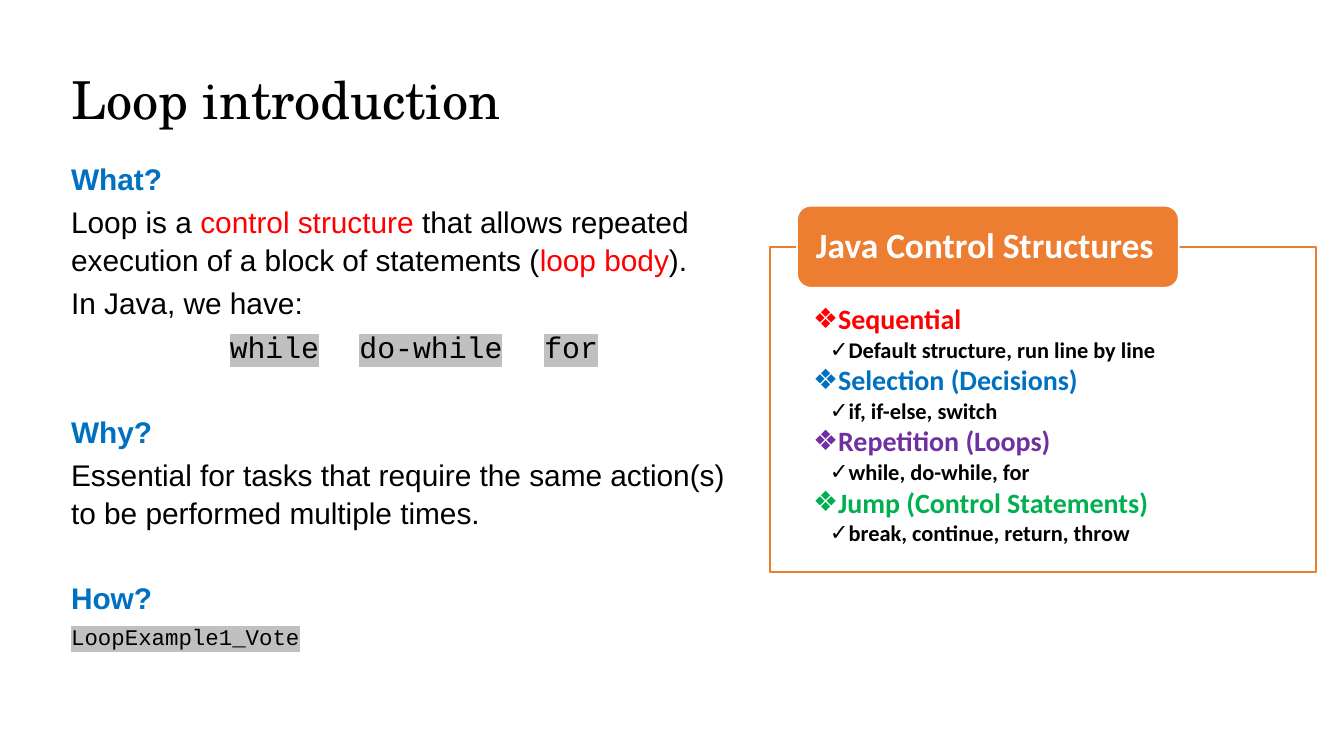
from lxml import etree
from pptx import Presentation
from pptx.dml.color import RGBColor
from pptx.enum import shapes, text
from pptx.oxml.ns import qn
from pptx.util import Pt

COLORS = {
    "black": "000000", "white": "FFFFFF", "red": "FF0000", "blue": "0070C0",
    "purple": "7030A0", "green": "00B050", "orange": "ED7D31", "silver": "C0C0C0",
}
BODY = {"name": "Arial", "size": 16, "color": "black"}
HEAD = {**BODY, "color": "blue", "bold": True}
KEY = {**BODY, "color": "red"}
CODE = {**BODY, "name": "Courier New", "highlight": "silver"}
PANEL = {"name": "Calibri", "bold": True}


def rgb(name):
    return RGBColor.from_string(COLORS[name])


class SlideBuilder:
    """Holds the slide and draws each kind of element; lengths in points."""

    def __init__(self, prs):
        self.slide = prs.slides.add_slide(prs.slide_layouts[5])

    def frame(self, sp, insets, anchor=text.MSO_ANCHOR.TOP):
        tf = sp.text_frame
        values = {"word_wrap": True, "auto_size": text.MSO_AUTO_SIZE.NONE,
                  "vertical_anchor": anchor}
        sides = ("margin_left", "margin_top", "margin_right", "margin_bottom")
        values.update(zip(sides, map(Pt, insets)))
        for key, value in values.items():
            setattr(tf, key, value)
        return tf

    def run(self, p, words, style):
        r = p.add_run()
        r.text = words
        r.font.color.rgb = rgb(style["color"])
        if "highlight" in style:
            mark = etree.SubElement(r._r.get_or_add_rPr(), qn("a:highlight"))
            etree.SubElement(mark, qn("a:srgbClr"), val=COLORS[style["highlight"]])
        values = {"name": style["name"], "size": Pt(style["size"]),
                  "bold": style.get("bold", False)}
        for key, value in values.items():
            setattr(r.font, key, value)

    def paragraph(self, tf, runs, **fmt):
        p = tf.paragraphs[0] if not tf.paragraphs[0].runs else tf.add_paragraph()
        values = {"alignment": text.PP_ALIGN.LEFT, "space_before": Pt(0), **fmt}
        for key, value in values.items():
            setattr(p, key, value)
        for words, style in runs:
            self.run(p, words, style)
        return p

    def title(self, words, box, style):
        sp = self.slide.shapes.title
        sp.left, sp.top, sp.width, sp.height = map(Pt, box)
        self.paragraph(self.frame(sp, (7.2, 3.6, 7.2, 3.6)), [(words, style)])

    def textbox(self, box):
        sp = self.slide.shapes.add_textbox(*map(Pt, box))
        return self.frame(sp, (7.2, 3.6, 7.2, 3.6))

    def shape(self, kind, box, fill, line, insets, anchor=text.MSO_ANCHOR.TOP):
        sp = self.slide.shapes.add_shape(kind, *map(Pt, box))
        sp.shadow.inherit = False
        sp.fill.solid()
        sp.fill.fore_color.rgb = rgb(fill)
        sp.line.color.rgb = rgb(line)
        sp.line.width = Pt(1)
        return self.frame(sp, insets, anchor)

    def tabs(self, p, stops):
        tab_list = etree.SubElement(p._p.get_or_add_pPr(), qn("a:tabLst"))
        for stop in stops:
            etree.SubElement(tab_list, qn("a:tab"), pos=str(Pt(stop)), algn="l")

    def bullet(self, tf, char, words, style, level, indent):
        p = self.paragraph(tf, [(words, style)], level=level,
                           line_spacing=0.9, space_after=Pt(1.8))
        pPr = p._p.get_or_add_pPr()
        pPr.set("marL", str(Pt(indent)))
        pPr.set("indent", str(Pt(-9)))
        etree.SubElement(pPr, qn("a:buFont"), typeface="Arial")
        etree.SubElement(pPr, qn("a:buChar"), char=char)


def main():
    prs = Presentation()
    prs.slide_width, prs.slide_height = Pt(720), Pt(405)
    s = SlideBuilder(prs)

    # Title
    s.title("Loop introduction", (31, 32.4, 612, 67.7),
            {"name": "TeX Gyre Schola", "size": 28, "color": "black"})

    # What, why and how: each entry is its space before and its runs
    tf = s.textbox((31, 81.4, 381, 275))
    section_gap = 25.4
    keywords = [("\t", BODY), ("while", CODE), ("\t", BODY), ("do-while", CODE),
                ("\t", BODY), ("for", CODE)]
    lines = [
        (0, [("What?", HEAD)]),
        (3.2, [("Loop is a ", BODY), ("control structure ", KEY),
               ("that allows repeated execution of a block of statements (", BODY),
               ("loop body", KEY), (").", BODY)]),
        (3.2, [("In Java, we have:", BODY)]),
        (3.2, keywords),
        (section_gap, [("Why?", HEAD)]),
        (3.2, [("Essential for tasks that require the same action(s) "
                "to be performed multiple times.", BODY)]),
        (section_gap, [("How?", HEAD)]),
        (3.2, [("LoopExample1_Vote", {**CODE, "size": 12})]),
    ]
    for gap, runs in lines:
        p = s.paragraph(tf, runs, space_before=Pt(gap), line_spacing=1.05)
        if runs is keywords:
            s.tabs(p, (85, 154.5, 253.5))

    # Panel of control structures
    tf = s.shape(shapes.MSO_SHAPE.RECTANGLE, (412.6, 132.5, 292.3, 174.2),
                 "white", "orange", (23, 31, 23, 6.5))
    structures = [
        ("Sequential", "red", "Default structure, run line by line"),
        ("Selection (Decisions)", "blue", "if, if-else, switch"),
        ("Repetition (Loops)", "purple", "while, do-while, for"),
        ("Jump (Control Statements)", "green", "break, continue, return, throw"),
    ]
    for name, color, detail in structures:
        s.bullet(tf, "❖", name, {**PANEL, "size": 15, "color": color}, 1, 9)
        s.bullet(tf, "✓", detail, {**PANEL, "size": 12, "color": "black"}, 2, 18)

    # Panel heading
    tf = s.shape(shapes.MSO_SHAPE.ROUNDED_RECTANGLE, (427, 110.2, 204.5, 44),
                 "orange", "white", (8, 0, 8, 0), text.MSO_ANCHOR.MIDDLE)
    s.paragraph(tf, [("Java Control Structures", {**PANEL, "size": 19, "color": "white"})],
                line_spacing=0.9)

    prs.save("out.pptx")


if __name__ == "__main__":
    main()
